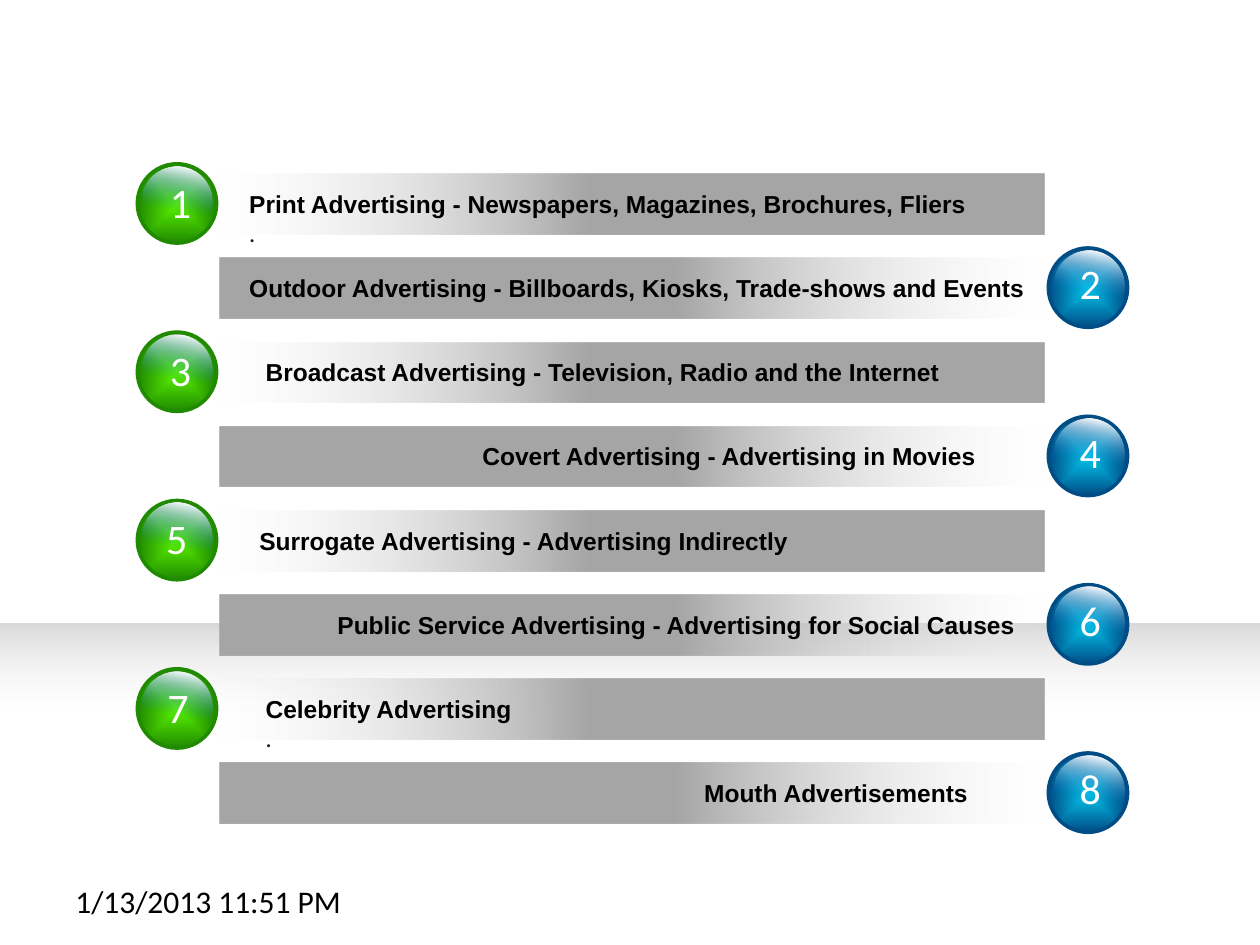
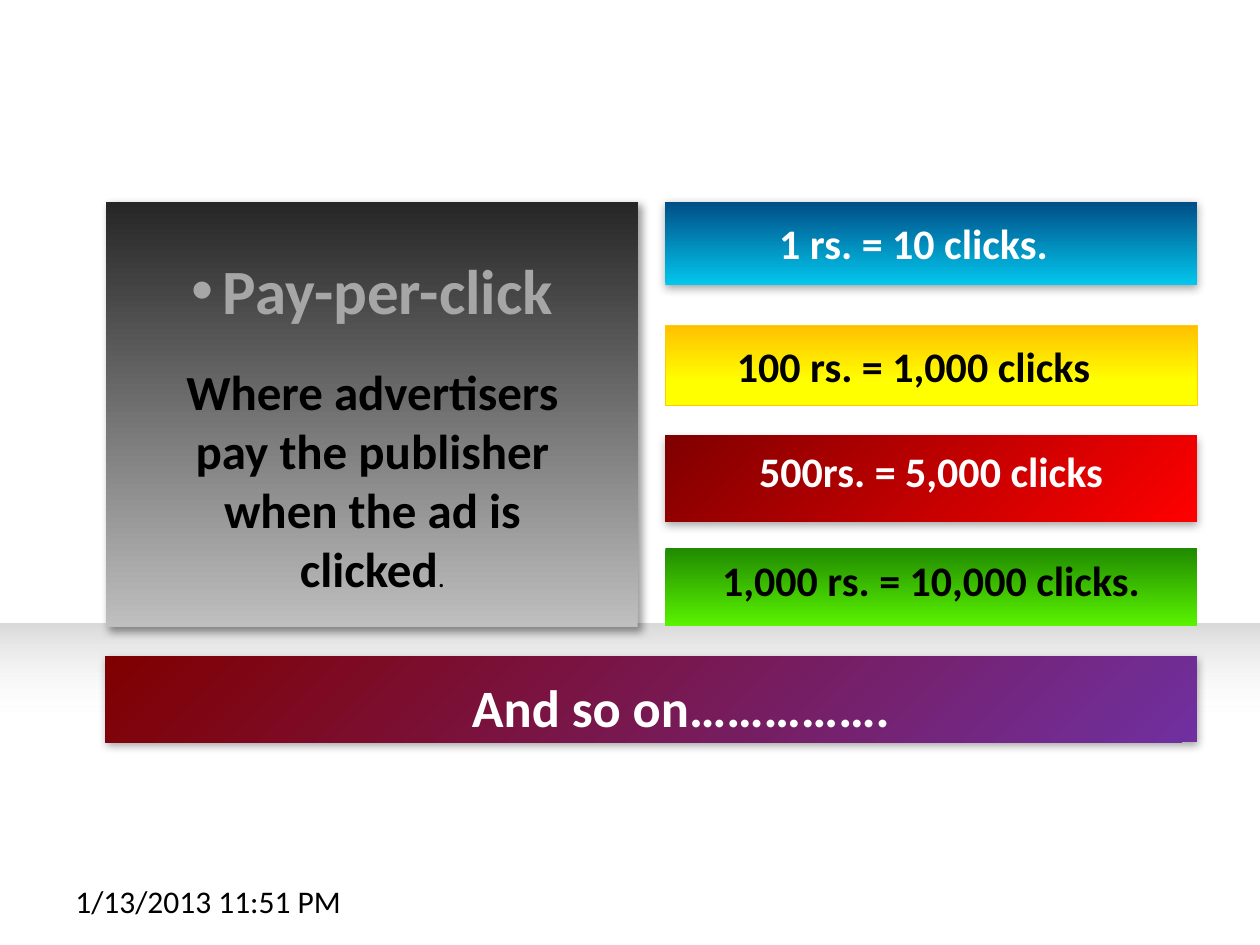
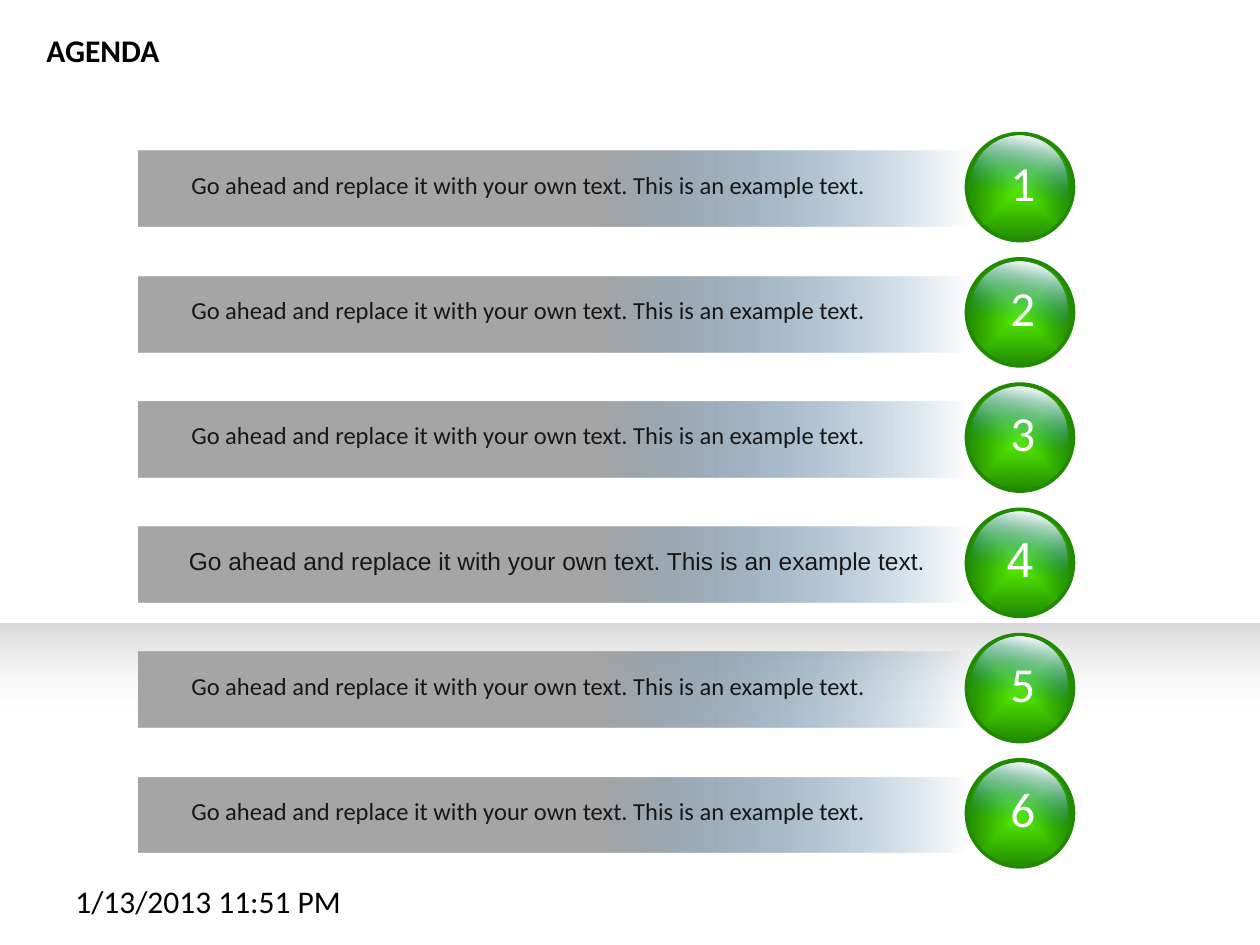
from lxml import etree
from pptx import Presentation
from pptx.dml.color import RGBColor
from pptx.enum.shapes import MSO_SHAPE
from pptx.enum.text import MSO_ANCHOR, PP_ALIGN
from pptx.oxml.ns import qn
from pptx.util import Inches, Pt

RECT, OVAL = MSO_SHAPE.RECTANGLE, MSO_SHAPE.OVAL
LEFT, CENTER = PP_ALIGN.LEFT, PP_ALIGN.CENTER
TOP, MIDDLE = MSO_ANCHOR.TOP, MSO_ANCHOR.MIDDLE

WHITE = RGBColor(0xFF, 0xFF, 0xFF)
BLACK = RGBColor(0x00, 0x00, 0x00)
INK = RGBColor(0x17, 0x17, 0x17)
CHARCOAL = RGBColor(0x26, 0x26, 0x26)
GRAY = RGBColor(0xA6, 0xA6, 0xA6)
SILVER = RGBColor(0xBF, 0xBF, 0xBF)
FLOOR_GRAY = RGBColor(0xD9, 0xD9, 0xD9)
PALE = RGBColor(0xF2, 0xF2, 0xF2)
SKY = RGBColor(0x03, 0xC6, 0xED)
NAVY = RGBColor(0x00, 0x4D, 0x86)
GLOSS_BLUE = RGBColor(0x00, 0x70, 0xC0)
LIME = RGBColor(0x5A, 0xF3, 0x00)
GREEN = RGBColor(0x20, 0x8A, 0x00)
AMBER = RGBColor(0xFF, 0xC0, 0x00)
GOLD = RGBColor(0xFF, 0xCC, 0x00)
YELLOW = RGBColor(0xFF, 0xFF, 0x00)
RED = RGBColor(0xFF, 0x00, 0x00)
MAROON = RGBColor(0x80, 0x00, 0x00)
PURPLE = RGBColor(0x70, 0x30, 0xA0)

GREEN_ORB = (LIME, GREEN)
BLUE_ORB = (SKY, NAVY)
SOFT_SHADOW = (35, 5, 1.8, 90)
DEEP_SHADOW = (40, 5, 3, 45)


def add_child(parent, tag, **attributes):
    child = etree.SubElement(parent, qn(tag))
    for name, value in attributes.items():
        child.set(name, str(value))
    return child


def add_shadow(effects, opacity, blur, distance, angle):
    """Opacity in percent, blur and distance in points, angle in degrees."""
    shadow = add_child(effects, "a:outerShdw", blurRad=Pt(blur), dist=Pt(distance),
                       dir=angle * 60000, algn="ctr", rotWithShape=0)
    color = add_child(shadow, "a:srgbClr", val=BLACK)
    add_child(color, "a:alpha", val=opacity * 1000)


def paint_gradient(shape, stops, angle=None):
    """Stops are (percent, colour[, opacity]); no angle means from the centre out."""
    shape.fill.background()
    properties = shape._element.spPr
    gradient = etree.Element(qn("a:gradFill"), rotWithShape="1")
    stop_list = add_child(gradient, "a:gsLst")
    for percent, color, *opacity in stops:
        stop = add_child(stop_list, "a:gs", pos=percent * 1000)
        shade = add_child(stop, "a:srgbClr", val=color)
        for value in opacity:
            add_child(shade, "a:alpha", val=value * 1000)
    if angle is None:
        route = add_child(gradient, "a:path", path="shape")
        add_child(route, "a:fillToRect", l=50000, t=50000, r=50000, b=50000)
    else:
        add_child(gradient, "a:lin", ang=angle * 60000, scaled=0)
    properties.replace(properties.find(qn("a:noFill")), gradient)


class SlideMaker:
    font = "Calibri"

    def __init__(self):
        self.deck = Presentation()
        self.deck.slide_width, self.deck.slide_height = Inches(10), Inches(7.5)
        self.page = None

    def new_page(self):
        self.page = self.deck.slides.add_slide(self.deck.slide_layouts[6])
        self.shape(RECT, (0, 4.95, 10, 2.02), [(61, WHITE, 0), (100, FLOOR_GRAY)], 270)
        self.text((0.5, 6.95, 2.33, 0.4), "1/13/2013 11:51 PM", size=18)

    def shape(self, kind, place, stops, angle=None, line=None, shadow=None):
        shape = self.page.shapes.add_shape(kind, *map(Inches, place))
        shape.shadow.inherit = False
        paint_gradient(shape, stops, angle)
        if line:
            color, width = line
            shape.line.color.rgb = color
            shape.line.width = Pt(width)
        else:
            shape.line.fill.background()
        if shadow:
            add_shadow(shape._element.spPr.find(qn("a:effectLst")), *shadow)

    def text(self, place, words, align=LEFT, anchor=TOP, **style):
        box = self.page.shapes.add_textbox(*map(Inches, place))
        frame = box.text_frame
        frame.word_wrap = True
        frame.vertical_anchor = anchor
        para = frame.paragraphs[0]
        para.alignment = align
        self.span(para, words, **style)
        return frame

    def span(self, para, words, size=14, color=BLACK, font=None, bold=False, shadow=None):
        span = para.add_run()
        span.text = words
        look = {"size": Pt(size), "name": font or self.font, "bold": bold}
        for name, value in look.items():
            setattr(span.font, name, value)
        span.font.color.rgb = color
        if shadow:
            effects = etree.Element(qn("a:effectLst"))
            add_shadow(effects, *shadow)
            span._r.get_or_add_rPr().find(qn("a:solidFill")).addnext(effects)

    def orb(self, left, top, size, colors, gloss_left):
        """A shiny ball with a rim and a gloss on its upper part."""
        core, rim = colors
        self.shape(OVAL, (left, top, size, size), [(0, core), (100, rim)], line=(rim, 2))
        gloss = size * 0.9
        self.shape(OVAL, (left + gloss_left, top + 0.02, gloss, gloss),
                   [(6, WHITE), (61, GLOSS_BLUE, 0)], 100)

    def bar(self, left, top, height, fade, angle=0):
        self.shape(RECT, (left, top, 6.58, height), [(55, GRAY), (100, fade, 0)], angle)


def build_media_page(maker):
    maker.new_page()
    media = [
        (1.88, "Print Advertising - Newspapers, Magazines, Brochures, Fliers", True),
        (1.88, "Outdoor Advertising - Billboards, Kiosks, Trade-shows and Events", False),
        (2.01, "Broadcast Advertising - Television, Radio and the Internet", False),
        (3.73, "Covert Advertising - Advertising in Movies", False),
        (1.96, "Surrogate Advertising - Advertising Indirectly", False),
        (2.58, "Public Service Advertising - Advertising for Social Causes", False),
        (2.01, "Celebrity Advertising", True),
        (5.49, "Mouth Advertisements", False),
    ]
    number_lefts = {5: 1.22, 7: 1.23}
    for number, (left, words, has_dot) in enumerate(media, start=1):
        top = 1.3 + (number - 1) * 0.668
        if number % 2:
            maker.bar(1.71, top + 0.08, 0.48, PALE, 180)
            maker.orb(1.09, top, 0.63, GREEN_ORB, 0.03)
            number_place = (number_lefts.get(number, 1.25), top + 0.05, 0.41, 0.52)
        else:
            maker.bar(1.74, top + 0.08, 0.48, PALE)
            maker.orb(8.32, top, 0.63, BLUE_ORB, 0.04)
            number_place = (8.47, top + 0.03, 0.44, 0.5)
        maker.text(number_place, str(number), size=24, color=WHITE)
        frame = maker.text((left, top + 0.15, 6.6, 0.34), words, font="Arial", bold=True)
        if has_dot:
            maker.span(frame.add_paragraph(), ".", color=INK)


def build_price_page(maker):
    maker.new_page()
    maker.shape(RECT, (0.84, 1.6, 4.22, 3.38), [(0, SILVER), (100, CHARCOAL)], 270,
                shadow=DEEP_SHADOW)
    frame = maker.text((1.16, 1.95, 3.59, 2.86), "Pay-per-click", CENTER,
                       size=36, color=GRAY, bold=True)
    bullet = frame.paragraphs[0]._p.get_or_add_pPr()
    bullet.set("marL", str(Inches(0.25)))
    bullet.set("indent", str(Inches(-0.25)))
    add_child(bullet, "a:buFont", typeface="Arial")
    add_child(bullet, "a:buChar", char="•")
    para = frame.add_paragraph()
    para.alignment = CENTER
    para.space_before = Pt(19.5)
    maker.span(para, "Where advertisers pay the publisher when the ad is clicked",
               size=28, bold=True)
    maker.span(para, ".", size=16)

    blue, red = [(0, SKY), (100, NAVY)], [(0, RED), (100, MAROON)]
    yellow = [(0, AMBER), (70, YELLOW), (100, YELLOW)]
    green = [(0, GREEN), (100, LIME)]
    prices = [
        (1.6, 0.66, blue, 270, None, SOFT_SHADOW,
         (5.14, 0.66), "1 rs. = 10 clicks.", WHITE, MIDDLE),
        (2.58, 0.64, yellow, 90, (GOLD, 0.25), None,
         (5.14, 0.64), "100 rs. = 1,000 clicks", BLACK, MIDDLE),
        (3.46, 0.68, red, 225, None, SOFT_SHADOW,
         (5.28, 0.56), "500rs. = 5,000 clicks", WHITE, MIDDLE),
        (4.35, 0.62, green, 90, None, None,
         (5.28, 0.62), "1,000 rs. = 10,000 clicks.", BLACK, TOP),
    ]
    for top, height, stops, angle, line, shadow, label, words, color, anchor in prices:
        maker.shape(RECT, (5.28, top, 4.22, height), stops, angle, line, shadow)
        label_left, label_height = label
        maker.text((label_left, top, 4.22, label_height), words, CENTER, anchor,
                   size=24, color=color, bold=True, shadow=shadow)

    maker.shape(RECT, (0.84, 5.21, 8.66, 0.68), [(0, PURPLE), (100, MAROON)], 225,
                shadow=SOFT_SHADOW)
    maker.text((3.26, 5.31, 4.29, 0.61), "And so on…………….", CENTER,
               size=30, color=WHITE, bold=True)


def build_agenda_page(maker):
    maker.new_page()
    maker.text((0.27, 0.2, 1.24, 0.4), "AGENDA", size=18, bold=True)
    for number in range(1, 7):
        top = 1.06 + (number - 1) * 0.994
        font, number_left, text_left = "Calibri", 7.92, 1.42
        if number == 4:
            font, number_left, text_left = "Arial", 7.89, 1.4
        maker.orb(7.67, top, 0.85, GREEN_ORB, 0.04)
        maker.text((number_left, top + 0.1, 0.5, 0.57), str(number),
                   size=28, color=WHITE, font=font)
        maker.bar(1.1, top + 0.14, 0.6, NAVY)
        maker.text((text_left, top + 0.24, 6.25, 0.34),
                   "Go ahead and replace it with your own text. This is an example text.",
                   color=INK, font=font)


def main():
    maker = SlideMaker()
    build_media_page(maker)
    build_price_page(maker)
    build_agenda_page(maker)
    maker.deck.save("out.pptx")


if __name__ == "__main__":
    main()
